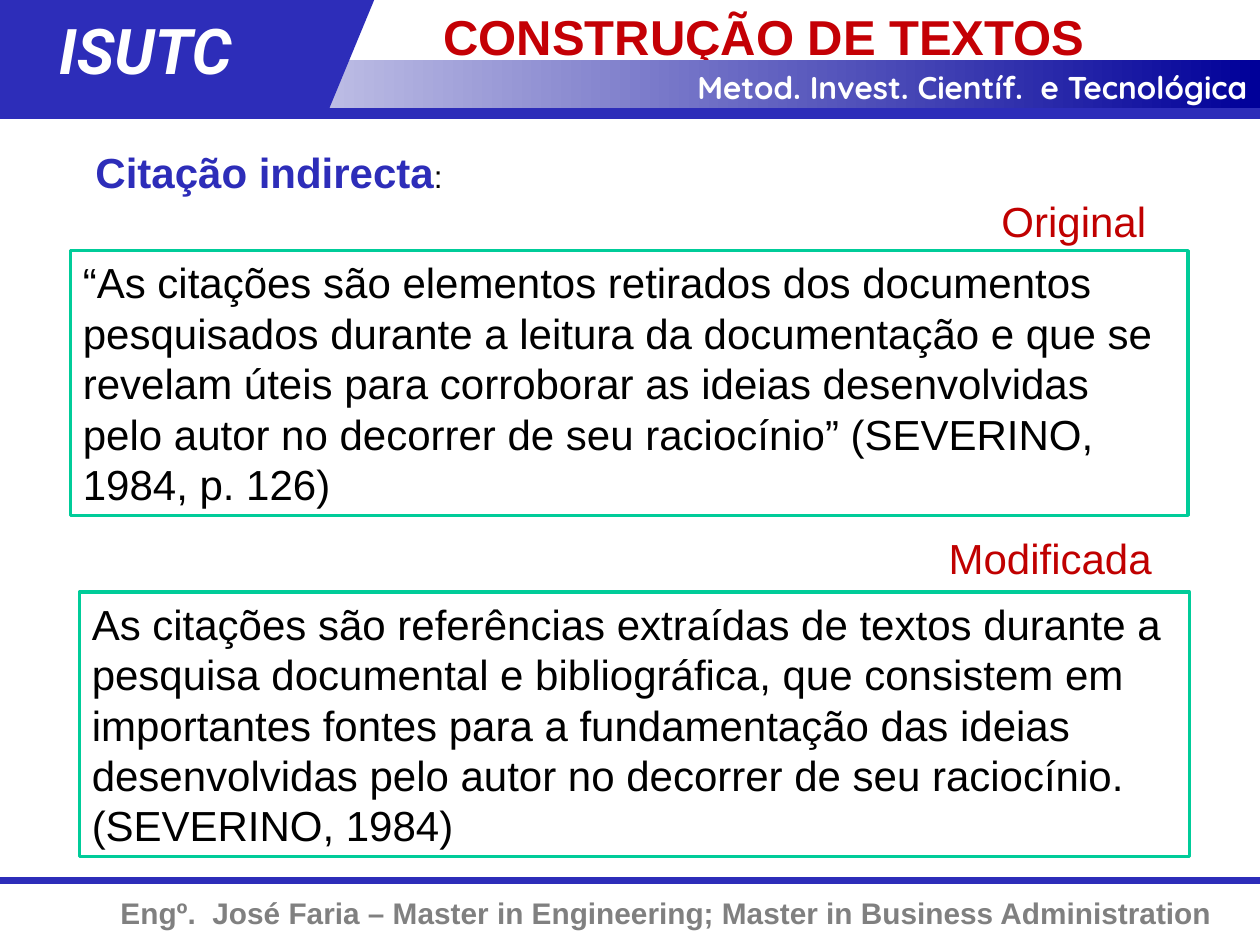
from dataclasses import dataclass

import pptx
import pptx.util
import pptx.dml.color
import pptx.enum.shapes
import pptx.enum.text
import pptx.oxml

Inches = pptx.util.Inches
Shape = pptx.enum.shapes.MSO_SHAPE
Align = pptx.enum.text.PP_ALIGN


@dataclass(frozen=True)
class Theme:
    """Colours, fonts and type sizes of the slide."""
    blue: str = "2D2DB9"
    navy: str = "000099"
    red: str = "C00000"
    title_red: str = "C40005"
    green: str = "00CC99"
    grey: str = "808080"
    black: str = "000000"
    white: str = "FFFFFF"
    font: str = "Arial"
    course_font: str = "Quicksand"
    school_font: str = "Roboto"
    title: int = 28
    school: int = 36
    body: int = 24
    small: int = 18
    footer: int = 17
    leading: float = 1.2


class SlideBuilder:
    """Holds the theme and the current slide, and adds elements to it."""

    def __init__(self, slide, theme):
        """Keep the slide and its theme."""
        self.slide = slide
        self.theme = theme

    def colour(self, value):
        """Turn a hex string into a colour."""
        return pptx.dml.color.RGBColor.from_string(value)

    def fill_text(self, shape, runs, align=Align.LEFT):
        """Put (text, colour, format) runs into a shape."""
        frame = shape.text_frame
        layout = {"word_wrap": True, "vertical_anchor": pptx.enum.text.MSO_ANCHOR.TOP,
                  "auto_size": pptx.enum.text.MSO_AUTO_SIZE.NONE,
                  "margin_left": Inches(0.1), "margin_right": Inches(0.1),
                  "margin_top": Inches(0.05), "margin_bottom": Inches(0.05)}
        for name, value in layout.items():
            setattr(frame, name, value)
        paragraph = frame.paragraphs[0]
        largest = max(changes.get("size", self.theme.body) for _, _, changes in runs)
        spacing = {"alignment": align, "space_before": pptx.util.Pt(0),
                   "line_spacing": pptx.util.Pt(largest * self.theme.leading)}
        for name, value in spacing.items():
            setattr(paragraph, name, value)
        for text, colour, changes in runs:
            run = paragraph.add_run()
            run.text = text
            style = {"name": self.theme.font, "size": self.theme.body, "bold": False, **changes}
            style["size"] = pptx.util.Pt(style["size"])
            for name, value in style.items():
                setattr(run.font, name, value)
            run.font.color.rgb = self.colour(colour)

    def title(self, box, text):
        """Fill the title placeholder."""
        shape = self.slide.shapes.title
        for name, value in zip(("left", "top", "width", "height"), box):
            setattr(shape, name, Inches(value))
        self.fill_text(shape, [
            (text, self.theme.title_red, {"size": self.theme.title, "bold": True})])

    def text(self, box, runs, align=Align.LEFT):
        """Add a text box."""
        shape = self.slide.shapes.add_textbox(*map(Inches, box))
        self.fill_text(shape, runs, align)

    def shape(self, kind, box, fill, line=None):
        """Add a filled preset shape."""
        shape = self.slide.shapes.add_shape(kind, *map(Inches, box))
        shape.shadow.inherit = False
        shape.fill.solid()
        shape.fill.fore_color.rgb = self.colour(fill)
        if line:
            shape.line.color.rgb = self.colour(line)
            shape.line.width = pptx.util.Pt(2)
        else:
            shape.line.fill.background()
        return shape

    def gradient(self, box, start, end):
        """Add a rectangle fading from left to right."""
        shape = self.shape(Shape.RECTANGLE, box, start)
        shape.fill.gradient()
        shape.fill.gradient_angle = 0
        for stop, colour, position in zip(shape.fill.gradient_stops, (start, end), (0, 1)):
            stop.color.rgb = self.colour(colour)
            stop.position = position

    def rule(self, top, width):
        """Add a line across the slide."""
        connector = self.slide.shapes.add_connector(
            pptx.enum.shapes.MSO_CONNECTOR.STRAIGHT, 0, Inches(top), Inches(10), Inches(top))
        connector.line.color.rgb = self.colour(self.theme.blue)
        connector.line.width = pptx.util.Pt(width)
        connector._element.spPr.append(pptx.oxml.parse_xml(
            '<a:effectLst xmlns:a="http://schemas.openxmlformats.org/drawingml/2006/main"/>'))

    def passage(self, box, label_box, label, text):
        """Add a framed passage with its red label above."""
        self.text(label_box, [(label, self.theme.red, {})])
        frame = self.shape(Shape.RECTANGLE, box, self.theme.white, self.theme.green)
        self.fill_text(frame, [(text, self.theme.black, {})])


def main():
    """Build and save the slide."""
    theme = Theme()
    presentation = pptx.Presentation()
    presentation.slide_width, presentation.slide_height = Inches(10), Inches(7.5)
    slide = presentation.slides.add_slide(presentation.slide_layouts[5])
    builder = SlideBuilder(slide, theme)

    builder.rule(6.99, 4)
    builder.text((0, 7.05, 9.72, 0.39), [
        ("Engº.  José Faria – Master in Engineering; Master in Business Administration",
         theme.grey, {"size": theme.footer, "bold": True})], Align.RIGHT)
    builder.gradient((0, 0.48, 10, 0.39), theme.white, theme.navy)
    builder.shape(Shape.FLOWCHART_DATA, (1.17, 0, 1.8, 0.87), theme.blue)
    builder.shape(Shape.RECTANGLE, (0, 0, 1.59, 0.87), theme.blue)
    builder.text((4.36, 0.49, 5.64, 0.4), [
        ("Metod. Invest. Científ.  e Tecnológica", theme.white,
         {"name": theme.course_font, "size": theme.small, "bold": True})], Align.RIGHT)
    builder.text((0.37, 0.04, 1.93, 0.7), [
        ("ISUTC", theme.white,
         {"name": theme.school_font, "size": theme.school, "bold": True, "italic": True})])
    builder.rule(0.9, 6)

    builder.text((0.66, 1.11, 3.26, 0.5), [
        ("Citação indirecta", theme.blue, {"bold": True}),
        (":", theme.black, {"size": theme.small})])
    builder.passage(
        (0.56, 1.99, 8.87, 2.1), (7.85, 1.5, 1.54, 0.5), "Original",
        "“As citações são elementos retirados dos documentos pesquisados durante a leitura "
        "da documentação e que se revelam úteis para corroborar as ideias desenvolvidas pelo "
        "autor no decorrer de seu raciocínio” (SEVERINO, 1984, p. 126)")
    builder.passage(
        (0.63, 4.7, 8.81, 2.1), (7.43, 4.18, 1.99, 0.5), "Modificada",
        "As citações são referências extraídas de textos durante a pesquisa documental e "
        "bibliográfica, que consistem em importantes fontes para a fundamentação das ideias "
        "desenvolvidas pelo autor no decorrer de seu raciocínio. (SEVERINO, 1984)")
    builder.title((3.42, 0, 6.58, 0.48), "CONSTRUÇÃO DE TEXTOS")

    presentation.save("out.pptx")


if __name__ == "__main__":
    main()
